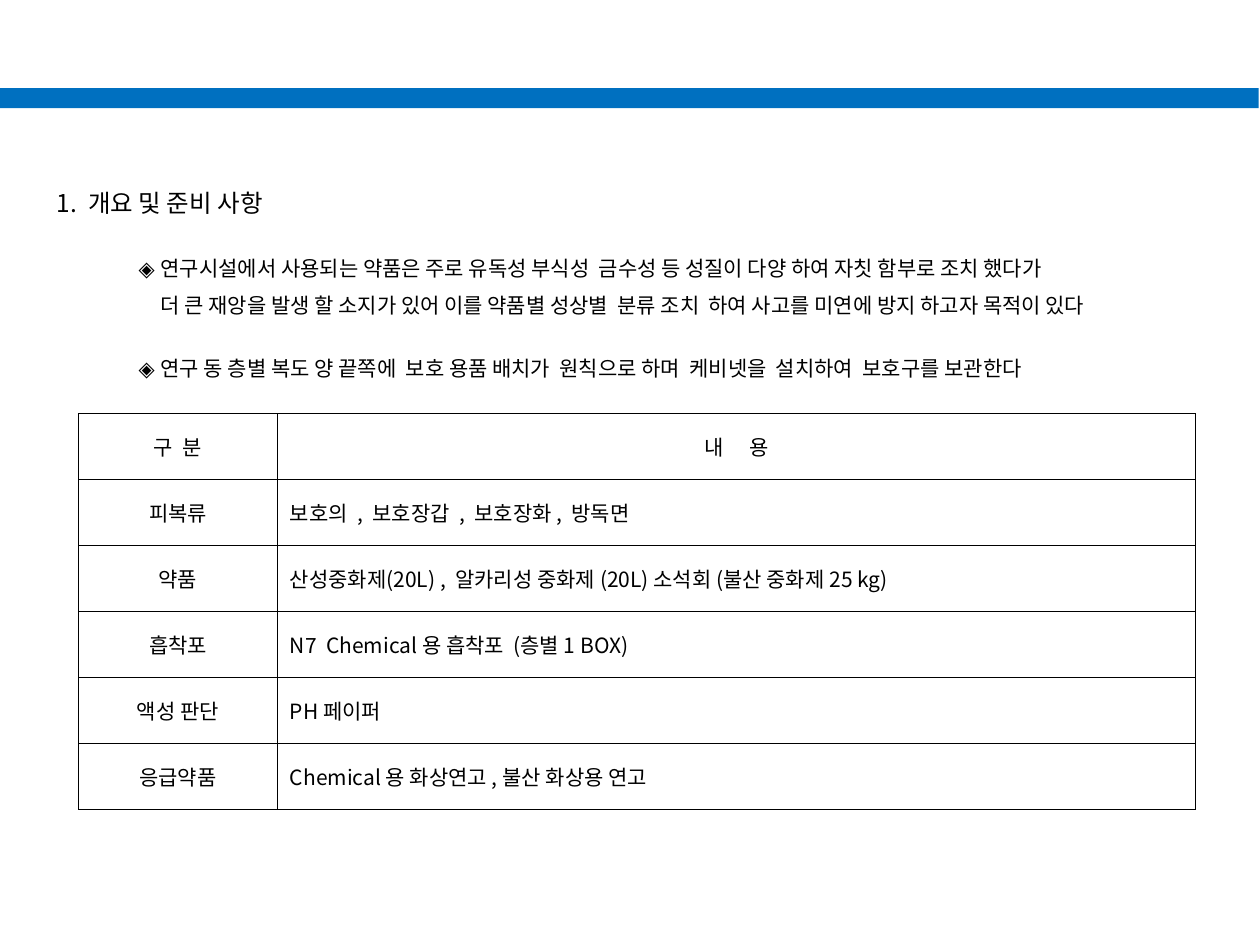
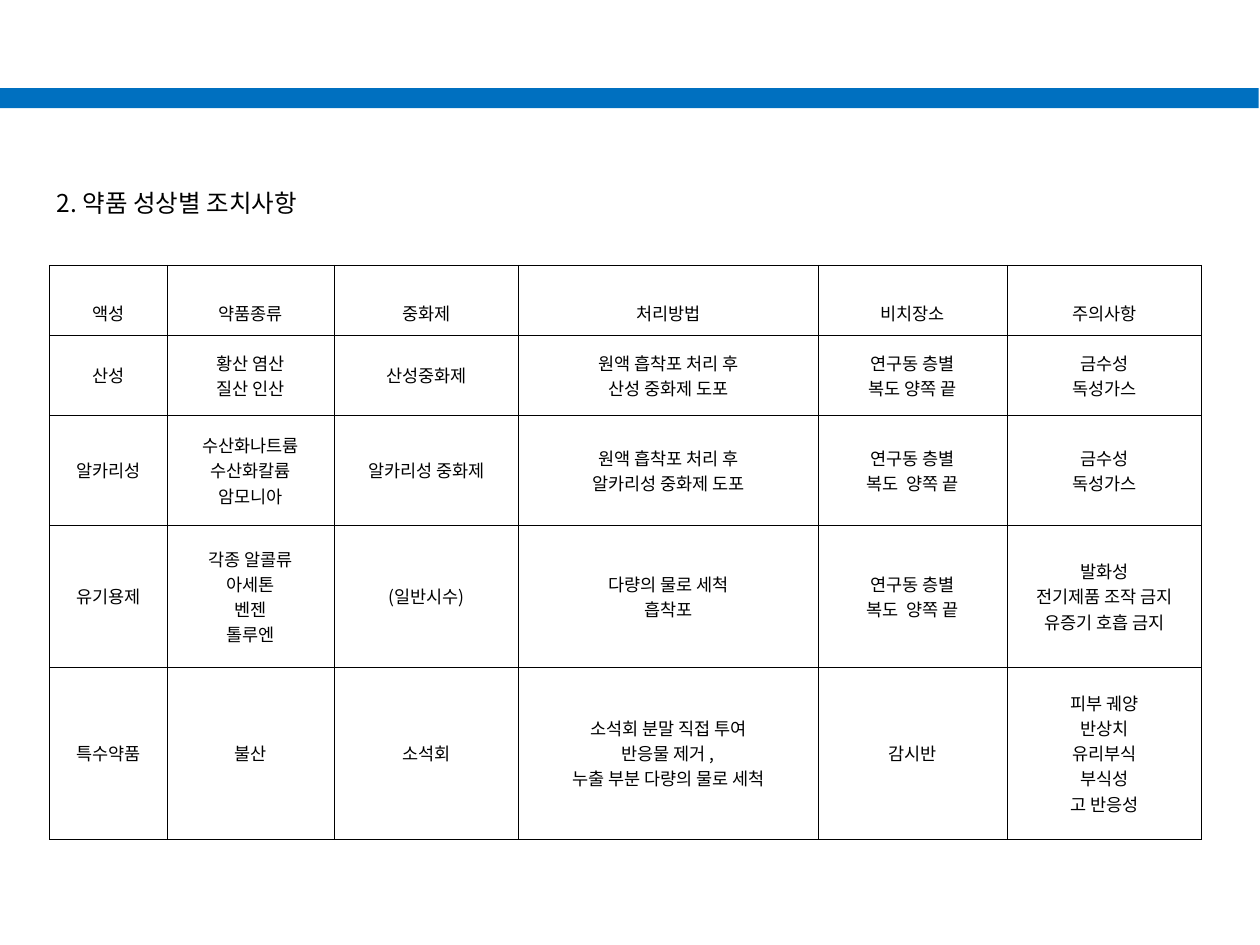
from dataclasses import dataclass

from lxml import etree
from pptx import Presentation
from pptx import util as u
from pptx.dml.color import RGBColor
from pptx.enum import shapes, text
from pptx.oxml import ns
from pptx.slide import Slide

COLORS = {"ink": "000000", "band": "0070C0"}
FONT = "Noto Sans CJK KR"
TITLE_ONLY_LAYOUT, CONTENT_LAYOUT = 5, 1
CENTER, LEFT = text.PP_ALIGN.CENTER, text.PP_ALIGN.LEFT


@dataclass(frozen=True)
class Box:
    left: float
    top: float
    width: float
    height: float


@dataclass(frozen=True)
class Column:
    heading: str
    width: float
    align: text.PP_ALIGN = CENTER
    letter_spacing: float = 0


@dataclass(frozen=True)
class Grid:
    left: float
    top: float
    columns: list[Column]
    row_heights: list[float]
    rows: list[list[str]]
    size: float
    heading_line_spacing: float = 1.0


BAND = Box(0, 50.4, 719.3, 11.5)
TITLE = Box(25.2, 103.7, 649.4, 24.5)
PURPOSE = Box(72, 135.5, 600, 86.4)

PURPOSE_ITEMS = [
    [
        "연구시설에서 사용되는 약품은 주로 유독성 부식성  금수성 등 성질이 다양 하여 자칫 함부로 조치 했다가",
        "더 큰 재앙을 발생 할 소지가 있어 이를 약품별 성상별  분류 조치  하여 사고를 미연에 방지 하고자 목적이 있다",
    ],
    ["연구 동 층별 복도 양 끝쪽에  보호 용품 배치가  원칙으로 하며  케비넷을  설치하여  보호구를 보관한다"],
]

SUPPLIES = Grid(
    left=44.9,
    top=236.2,
    columns=[Column("구 분", 113.6, letter_spacing=1.5), Column("내 용", 524.7, LEFT, 6)],
    row_heights=[37.75] * 6,
    rows=[
        ["피복류", "보호의  ,  보호장갑  ,  보호장화 ,  방독면"],
        ["약품", "산성중화제(20L) ,  알카리성 중화제 (20L) 소석회 (불산 중화제 25 kg)"],
        ["흡착포", "N7  Chemical 용 흡착포  (층별 1 BOX)"],
        ["액성 판단", "PH 페이퍼"],
        ["응급약품", "Chemical 용 화상연고 , 불산 화상용 연고"],
    ],
    size=12,
)

RESPONSES = Grid(
    left=28.2,
    top=151.6,
    columns=[
        Column("액성", 67.4),
        Column("약품종류", 95.4),
        Column("중화제", 105.2),
        Column("처리방법", 171.4),
        Column("비치장소", 108),
        Column("주의사항", 110.9),
    ],
    row_heights=[40, 45.7, 62.9, 81.1, 98.3],
    rows=[
        ["산성", "황산 염산\n질산 인산", "산성중화제", "원액 흡착포 처리 후\n산성 중화제 도포",
         "연구동 층별\n복도 양쪽 끝", "금수성\n독성가스"],
        ["알카리성", "수산화나트륨\n수산화칼륨\n암모니아", "알카리성 중화제",
         "원액 흡착포 처리 후\n알카리성 중화제 도포", "연구동 층별\n복도  양쪽 끝", "금수성\n독성가스"],
        ["유기용제", "각종 알콜류\n아세톤\n벤젠\n톨루엔", "(일반시수)", "다량의 물로 세척\n흡착포",
         "연구동 층별\n복도  양쪽 끝", "발화성\n전기제품 조작 금지\n유증기 호흡 금지"],
        ["특수약품", "불산", "소석회", "소석회 분말 직접 투여\n반응물 제거 ,\n누출 부분 다량의 물로 세척",
         "감시반", "피부 궤양\n반상치\n유리부식\n부식성\n고 반응성"],
    ],
    size=10,
    heading_line_spacing=2.0,
)


def add_run(paragraph, words: str, size: float, letter_spacing: float = 0) -> None:
    run = paragraph.add_run()
    run.text = words
    run.font.size = u.Pt(size)
    run.font.color.rgb = RGBColor.from_string(COLORS["ink"])
    run.font.name = FONT
    properties = run._r.get_or_add_rPr()
    etree.SubElement(properties, ns.qn("a:ea"), typeface=FONT)
    if letter_spacing:
        properties.set("spc", str(round(letter_spacing * 100)))


def place(shape, box: Box) -> None:
    shape.left, shape.top = u.Pt(box.left), u.Pt(box.top)
    shape.width, shape.height = u.Pt(box.width), u.Pt(box.height)


def add_band(slide: Slide) -> None:
    lengths = [u.Pt(value) for value in (BAND.left, BAND.top, BAND.width, BAND.height)]
    band = slide.shapes.add_shape(shapes.MSO_SHAPE.RECTANGLE, *lengths)
    band.shadow.inherit = False
    band.fill.solid()
    band.fill.fore_color.rgb = RGBColor.from_string(COLORS["band"])
    band.line.fill.background()


def add_titled_slide(presentation, layout: int, title: str) -> Slide:
    slide = presentation.slides.add_slide(presentation.slide_layouts[layout])
    place(slide.shapes.title, TITLE)
    frame = slide.shapes.title.text_frame
    frame.auto_size = text.MSO_AUTO_SIZE.NONE
    frame.vertical_anchor = text.MSO_ANCHOR.MIDDLE
    frame.paragraphs[0].alignment = LEFT
    add_run(frame.paragraphs[0], title, 14)
    add_band(slide)
    return slide


def fill_list(body, items: list[list[str]]) -> None:
    place(body, PURPOSE)
    frame = body.text_frame
    frame.auto_size = text.MSO_AUTO_SIZE.NONE
    for index, lines in enumerate(items):
        paragraph = frame.add_paragraph() if index else frame.paragraphs[0]
        properties = paragraph._p.get_or_add_pPr()
        properties.set("marL", str(u.Pt(12.6)))
        properties.set("indent", str(-u.Pt(12.6)))
        etree.SubElement(properties, ns.qn("a:buFont"), typeface=FONT)
        etree.SubElement(properties, ns.qn("a:buChar"), char="◈")
        paragraph.line_spacing = u.Pt(21.1)
        paragraph.space_before = u.Pt(15 if index else 0)
        for line_index, line in enumerate(lines):
            if line_index:
                paragraph.add_line_break()
            add_run(paragraph, line, 12)


def add_borders(cell) -> None:
    properties = cell._tc.get_or_add_tcPr()
    for index, side in enumerate(("lnL", "lnR", "lnT", "lnB")):
        line = etree.Element(ns.qn(f"a:{side}"), w=str(u.Pt(0.45)))
        fill = etree.SubElement(line, ns.qn("a:solidFill"))
        etree.SubElement(fill, ns.qn("a:srgbClr"), val=COLORS["ink"])
        properties.insert(index, line)


def fill_cell(cell, words: str, size: float, align: text.PP_ALIGN,
              line_spacing: float = 1.0, letter_spacing: float = 0) -> None:
    cell.fill.background()
    add_borders(cell)
    cell.vertical_anchor = text.MSO_ANCHOR.MIDDLE
    for index, line in enumerate(words.split("\n")):
        frame = cell.text_frame
        paragraph = frame.add_paragraph() if index else frame.paragraphs[0]
        paragraph.alignment = align
        paragraph.line_spacing = line_spacing
        add_run(paragraph, line, size, letter_spacing)


def add_grid(slide: Slide, grid: Grid) -> None:
    width = sum(column.width for column in grid.columns)
    table = slide.shapes.add_table(
        len(grid.row_heights), len(grid.columns), u.Pt(grid.left), u.Pt(grid.top),
        u.Pt(width), u.Pt(sum(grid.row_heights)),
    ).table
    table.first_row = table.horz_banding = False
    for row, height in zip(table.rows, grid.row_heights):
        row.height = u.Pt(height)
    for column_index, column in enumerate(grid.columns):
        table.columns[column_index].width = u.Pt(column.width)
        fill_cell(table.cell(0, column_index), column.heading, grid.size, CENTER,
                  grid.heading_line_spacing, column.letter_spacing)
        for row_index, row in enumerate(grid.rows, start=1):
            fill_cell(table.cell(row_index, column_index), row[column_index], grid.size, column.align)


def main() -> None:
    """Build the two chemical safety slides."""
    presentation = Presentation()
    presentation.slide_width, presentation.slide_height = u.Pt(720), u.Pt(540)
    overview = add_titled_slide(presentation, CONTENT_LAYOUT, "1.  개요 및 준비 사항")
    fill_list(overview.placeholders[1], PURPOSE_ITEMS)
    add_grid(overview, SUPPLIES)
    measures = add_titled_slide(presentation, TITLE_ONLY_LAYOUT, "2. 약품 성상별 조치사항")
    add_grid(measures, RESPONSES)
    presentation.save("out.pptx")


if __name__ == "__main__":
    main()
